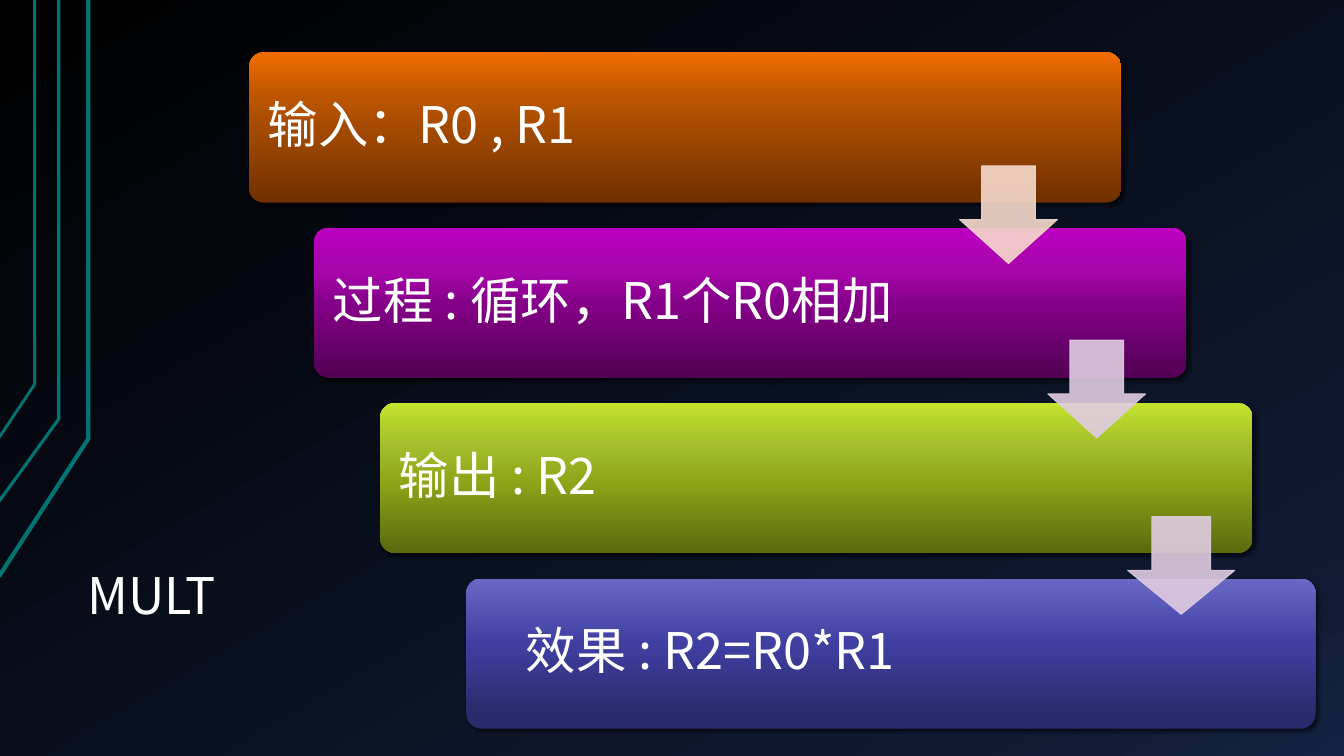
from lxml import etree
from pptx import Presentation
from pptx.dml.color import RGBColor
from pptx.enum.shapes import MSO_SHAPE
from pptx.enum.text import MSO_ANCHOR, PP_ALIGN
from pptx.oxml.ns import qn
from pptx.util import Pt

ROUND_RECT = MSO_SHAPE.ROUNDED_RECTANGLE
DOWN_ARROW = MSO_SHAPE.DOWN_ARROW
MIDDLE, BOTTOM = MSO_ANCHOR.MIDDLE, MSO_ANCHOR.BOTTOM
LEFT = PP_ALIGN.LEFT

PX = 9525
FONT = "Noto Sans CJK SC"
TITLE_ONLY = 5

BLACK = RGBColor(0x00, 0x00, 0x00)
WHITE = RGBColor(0xFF, 0xFF, 0xFF)
TEAL = RGBColor(0x00, 0x73, 0x73)
PEACH = RGBColor(0xF7, 0xDA, 0xCC)
LILAC = RGBColor(0xE0, 0xCC, 0xE1)

NIGHT = [(0, BLACK), (85, RGBColor(0x0F, 0x19, 0x31)), (100, RGBColor(0x14, 0x22, 0x42))]
ORANGE = [(0, RGBColor(0x70, 0x30, 0x00)), (50, RGBColor(0xA4, 0x4A, 0x00)),
          (70, RGBColor(0xBC, 0x55, 0x00)), (100, RGBColor(0xF2, 0x6D, 0x00))]
PURPLE = [(0, RGBColor(0x52, 0x00, 0x54)), (50, RGBColor(0x85, 0x00, 0x88)),
          (70, RGBColor(0xA5, 0x05, 0xA9)), (100, RGBColor(0xBC, 0x00, 0xC0))]
LIME = [(0, RGBColor(0x5A, 0x6A, 0x0D)), (50, RGBColor(0x8F, 0xA7, 0x19)),
        (70, RGBColor(0xA3, 0xBC, 0x2A)), (100, RGBColor(0xC4, 0xE3, 0x2D))]
INDIGO = [(10, RGBColor(0x2A, 0x2A, 0x6C)), (56, RGBColor(0x3F, 0x3F, 0xA2)),
          (100, RGBColor(0x68, 0x68, 0xC4))]

PANEL_TOP, PANEL_STEP, PANEL_H = 50, 167, 143
# left, width, colours, text offset, text width, text inset, text
PANELS = [
    (237, 831, ORANGE, 4, 652, 14, "输入：R0 , R1"),
    (299, 831, PURPLE, 4, 640, 14, "过程 : 循环，R1个R0相加"),
    (362, 831, LIME, 4, 640, 14, "输出 : R2"),
    (444, 809, INDIGO, 39, 602, 18, "效果 : R2=R0*R1"),
]
ARROW_H = 93
ARROWS = [(914, 158, 93, PEACH), (998, 324, 93, LILAC), (1074, 492, 102, LILAC)]
# outer end, bend, line width
CIRCUIT_LINES = [
    ((-1, 549), (84, 418), 3),
    ((-2, 479), (56, 399), 2.25),
    ((-1, 417), (33, 366), 2),
]


def emu(*lengths):
    return [length * PX for length in lengths]


def add_color(parent, color, alpha=100):
    clr = etree.SubElement(parent, qn("a:srgbClr"), val=str(color))
    if alpha < 100:
        etree.SubElement(clr, qn("a:alpha"), val=str(alpha * 1000))


def set_gradient(fill, element, stops, angle):
    """Fill with any number of stops; angle is counter-clockwise."""
    fill.gradient()
    fill.gradient_angle = angle
    stop_list = next(element.iter(qn("a:gsLst")))
    for stop in list(stop_list):
        stop_list.remove(stop)
    for pos, color in stops:
        add_color(etree.SubElement(stop_list, qn("a:gs"), pos=str(pos * 1000)), color)


def add_shadow(sp):
    sp.shadow.inherit = False
    effects = sp._element.spPr.find(qn("a:effectLst"))
    shadow = etree.SubElement(effects, qn("a:outerShdw"), blurRad=str(Pt(3)),
                              dist=str(Pt(2)), dir=str(45 * 60000), rotWithShape="0")
    add_color(shadow, BLACK, 60)


def set_text(sp, text, anchor, inset_x, inset_y):
    tf = sp.text_frame
    tf.word_wrap = True
    tf.vertical_anchor = anchor
    tf.margin_left = tf.margin_right = inset_x * PX
    tf.margin_top = tf.margin_bottom = inset_y * PX
    p = tf.paragraphs[0]
    p.text = text
    p.alignment = LEFT
    p.line_spacing = 0.9
    p.font.size = Pt(36)
    p.font.name = FONT
    p.font.color.rgb = WHITE
    etree.SubElement(p.font._element, qn("a:ea"), typeface=FONT)


def add_circuit_line(s, end, bend, width):
    builder = s.shapes.build_freeform(*end, scale=PX)
    builder.add_line_segments([bend, (bend[0], 0)], close=False)
    sp = builder.convert_to_shape()
    sp.shadow.inherit = False
    sp.fill.background()
    sp.line.color.rgb = TEAL
    sp.line.width = Pt(width)


def add_panel(s, top, left, width, stops, offset, text_width, inset, text):
    sp = s.shapes.add_shape(ROUND_RECT, *emu(left, top, width, PANEL_H))
    sp.adjustments[0] = 0.1
    set_gradient(sp.fill, sp._element, stops, 90)
    sp.line.fill.background()
    add_shadow(sp)
    box = s.shapes.add_textbox(*emu(left + offset, top + 4, text_width, PANEL_H - 8))
    set_text(box, text, MIDDLE, inset, inset)


def add_arrow(s, left, top, width, color):
    sp = s.shapes.add_shape(DOWN_ARROW, *emu(left, top, width, ARROW_H))
    sp.shadow.inherit = False
    sp.adjustments[0], sp.adjustments[1] = 0.55, 0.45
    sp.fill.solid()
    sp.fill.fore_color.rgb = color
    sp.line.color.rgb = color
    sp.line.width = Pt(0.75)
    for clr in sp._element.spPr.iter(qn("a:srgbClr")):
        etree.SubElement(clr, qn("a:alpha"), val="90000")


def main():
    prs = Presentation()
    prs.slide_width, prs.slide_height = emu(1280, 720)
    s = prs.slides.add_slide(prs.slide_layouts[TITLE_ONLY])
    set_gradient(s.background.fill, s._element, NIGHT, 300)

    for line in CIRCUIT_LINES:
        add_circuit_line(s, *line)

    title = s.shapes.title
    title.left, title.top, title.width, title.height = emu(71, 474, 225, 129)
    set_text(title, "MULT", BOTTOM, 12, 7)

    for i, panel in enumerate(PANELS):
        add_panel(s, PANEL_TOP + i * PANEL_STEP, *panel)
    for arrow in ARROWS:
        add_arrow(s, *arrow)

    prs.save("out.pptx")


if __name__ == "__main__":
    main()
